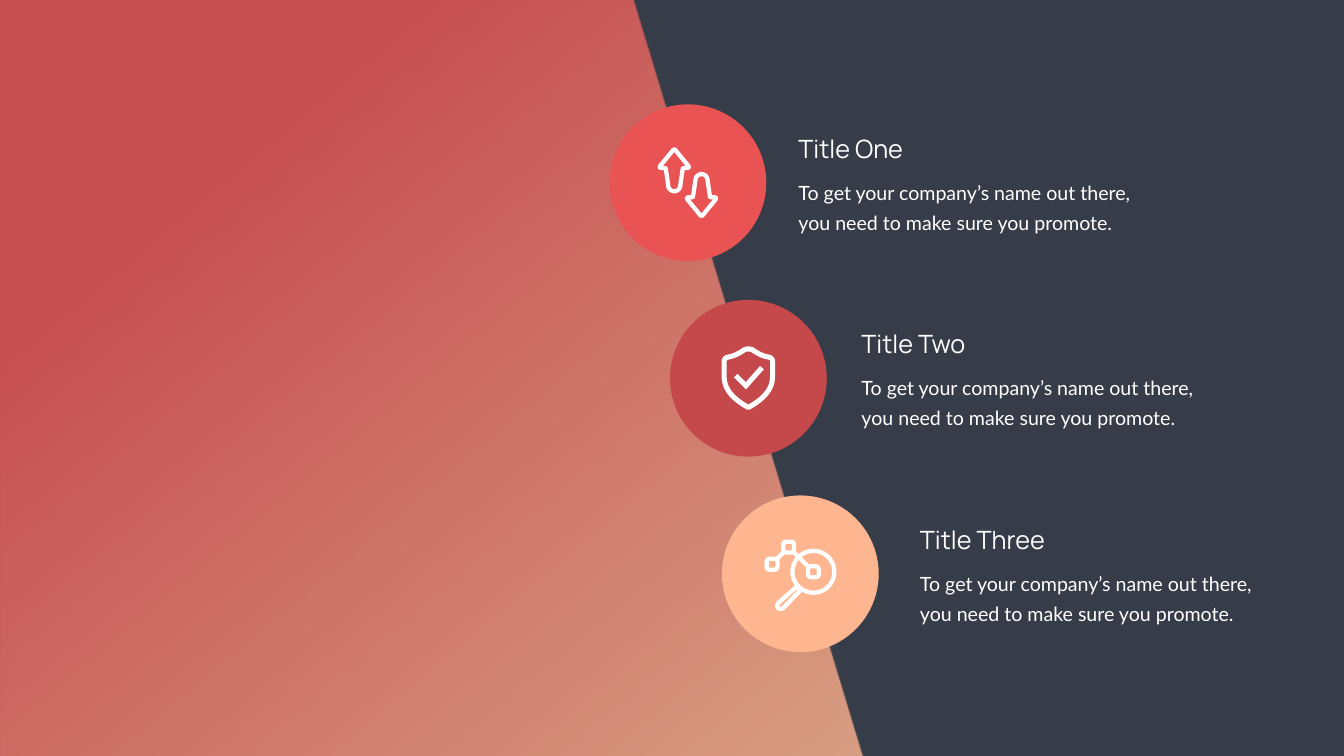
from math import cos, pi, sin
from pptx import Presentation
from pptx.dml.color import RGBColor
from pptx.enum.shapes import MSO_SHAPE as SHAPE
from pptx.enum.text import MSO_AUTO_SIZE
from pptx.oxml.ns import qn
from pptx.util import Inches, Pt
from lxml.etree import SubElement

SLATE = RGBColor(0x36, 0x3D, 0x48)
WHITE = RGBColor(0xFF, 0xFF, 0xFF)
PEACH = RGBColor(0xFE, 0xB6, 0x91)
CORAL = RGBColor(0xE9, 0x53, 0x54)
BRICK = RGBColor(0xC5, 0x49, 0x4B)

W, H = 26.66, 15
BODY = "To get your company’s name out there, you need to make sure you promote."
# title, circle colour, circle left, text left
ITEMS = [
    ("Title One", CORAL, 12.09, 15.74),
    ("Title Two", BRICK, 13.29, 16.99),
    ("Title Three", PEACH, 14.32, 18.15),
]
FIRST_TOP, PITCH, CIRCLE = 2.07, 3.88, 3.11
TITLE_DROP, BODY_DROP = 0.52, 1.33
PANEL = [(0, 0), (12.56, 0), (17.1, H), (0, H)]
PANEL_ALPHA = 80

# Icon outlines, in inches from the centre of their circle
THIN, THICK = 6.1, 7.2
ARROW_CENTRES = [(-0.27, -0.25, 1), (0.27, 0.25, -1)]
ARROW_HEAD = [(0.17, -0.04), (0.28, -0.04), (0.29, -0.07), (0.02, -0.4), (0, -0.41)]
ARROW_STEM, ARROW_TURN = 0.12, 0.3
SHIELD_HALF = [
    [(0, -0.58), (0.05, -0.58), (0.08, -0.57), (0.1, -0.55)],
    [(0.1, -0.55), (0.16, -0.51), (0.27, -0.44), (0.4, -0.42)],
    [(0.4, -0.42), (0.45, -0.41), (0.48, -0.38), (0.48, -0.33)],
    [(0.48, -0.03), (0.48, 0.2), (0.33, 0.4), (0, 0.58)],
]
CHECK = [(-0.25, -0.05), (-0.05, 0.15), (0.27, -0.21)]
LENS, LENS_RADIUS = (0.26, -0.04), 0.415
NODES, NODE_SIZE, NODE_CORNER = [(-0.56, -0.19), (-0.23, -0.53), LENS], 0.215, 0.06
LINKS = [[(-0.47, -0.29), (-0.33, -0.43)], [(-0.13, -0.43), (0.16, -0.14)]]
HANDLE = [(-0.05, 0.24), (-0.44, 0.58), (-0.46, 0.64), (-0.43, 0.69),
          (-0.38, 0.7), (-0.34, 0.68), (0, 0.33)]


def arc(cx, cy, radius, start, end, steps=16):
    angles = [start + (end - start) * i / steps for i in range(steps + 1)]
    return [(cx + radius * cos(a), cy + radius * sin(a)) for a in angles]


def bezier(p0, p1, p2, p3, steps=12):
    points = []
    for i in range(steps + 1):
        t = i / steps
        u = 1 - t
        points.append(tuple(u**3 * a + 3 * u * u * t * b + 3 * u * t * t * c + t**3 * d
                            for a, b, c, d in zip(p0, p1, p2, p3)))
    return points


def rounded_square(cx, cy, size, radius):
    inset = size / 2 - radius
    corners = [(1, 1), (-1, 1), (-1, -1), (1, -1)]
    return [p for i, (sx, sy) in enumerate(corners)
            for p in arc(cx + sx * inset, cy + sy * inset, radius,
                         i * pi / 2, (i + 1) * pi / 2, 5)]


def freeform(shapes, closed, opened=(), cx=0, cy=0):
    """Build one shape from closed and open contours placed around cx, cy."""
    contours = [([(Inches(cx + x), Inches(cy + y)) for x, y in points], close)
                for group, close in ((closed, True), (opened, False)) for points in group]
    builder = shapes.build_freeform(*contours[0][0][0])
    for i, (points, close) in enumerate(contours):
        if i:
            builder.move_to(*points[0])
        builder.add_line_segments(points[1:], close=close)
    s = builder.convert_to_shape()
    s.shadow.inherit = False
    return s


def stroke(s, width, join="a:round"):
    """Give a shape a white outline and no fill."""
    s.fill.background()
    s.line.color.rgb = WHITE
    s.line.width = Pt(width)
    SubElement(s._element.get_or_add_ln(), qn(join))


def draw_arrows(shapes, cx, cy):
    right = [(ARROW_STEM, ARROW_TURN)] + ARROW_HEAD
    left = [(-x, y) for x, y in reversed(right[:-1])]
    outline = right + left + arc(0, ARROW_TURN, ARROW_STEM, pi, 0)
    for dx, dy, way in ARROW_CENTRES:
        arrow = [(x, way * y) for x, y in outline]
        stroke(freeform(shapes, [arrow], cx=cx + dx, cy=cy + dy), THIN)


def draw_shield(shapes, cx, cy):
    right = [p for curve in SHIELD_HALF for p in bezier(*curve)]
    outline = right + [(-x, y) for x, y in reversed(right)]
    stroke(freeform(shapes, [], [CHECK], cx, cy), THICK, "a:miter")
    stroke(freeform(shapes, [outline], cx=cx, cy=cy), THICK)


def draw_magnifier(shapes, cx, cy):
    nodes = [rounded_square(x, y, NODE_SIZE, NODE_CORNER) for x, y in NODES]
    lens = arc(*LENS, LENS_RADIUS, 0, 2 * pi, 48)
    stroke(freeform(shapes, [lens, HANDLE] + nodes, LINKS, cx, cy), THIN)


def add_text(shapes, text, box, font, size, spacing=None):
    tb = shapes.add_textbox(*map(Inches, box))
    tf = tb.text_frame
    tf.word_wrap = True
    tf.auto_size = MSO_AUTO_SIZE.SHAPE_TO_FIT_TEXT
    p = tf.paragraphs[0]
    if spacing:
        p.line_spacing = Pt(spacing)
    r = p.add_run()
    r.text = text
    r.font.name = font
    r.font.size = Pt(size)
    r.font.color.rgb = WHITE


def add_panel(shapes):
    s = freeform(shapes, [PANEL])
    s.line.fill.background()
    s.fill.gradient()
    s.fill.gradient_angle = 130
    for stop, color, position in zip(s.fill.gradient_stops, (PEACH, CORAL), (0, 0.76)):
        stop.color.rgb = color
        stop.position = position
    for clr in s._element.spPr.iter(qn("a:srgbClr")):
        SubElement(clr, qn("a:alpha")).set("val", str(PANEL_ALPHA * 1000))


def add_circle(shapes, left, top, color):
    s = shapes.add_shape(SHAPE.OVAL, *map(Inches, (left, top, CIRCLE, CIRCLE)))
    s.shadow.inherit = False
    s.fill.solid()
    s.fill.fore_color.rgb = color
    s.line.fill.background()


def main():
    prs = Presentation()
    prs.slide_width, prs.slide_height = Inches(W), Inches(H)
    slide = prs.slides.add_slide(prs.slide_layouts[6])
    slide.background.fill.solid()
    slide.background.fill.fore_color.rgb = SLATE
    shapes = slide.shapes
    add_panel(shapes)
    icons = [draw_arrows, draw_shield, draw_magnifier]
    for row, ((title, color, left, text_left), draw_icon) in enumerate(zip(ITEMS, icons)):
        top = FIRST_TOP + row * PITCH
        add_circle(shapes, left, top, color)
        draw_icon(shapes, left + CIRCLE / 2, top + CIRCLE / 2)
        add_text(shapes, title, (text_left, top + TITLE_DROP, 5.2, 0.71), "Manrope", 36)
        add_text(shapes, BODY, (text_left, top + BODY_DROP, 7.45, 1.25), "Lato", 28, 43)
    prs.save("out.pptx")


if __name__ == "__main__":
    main()
